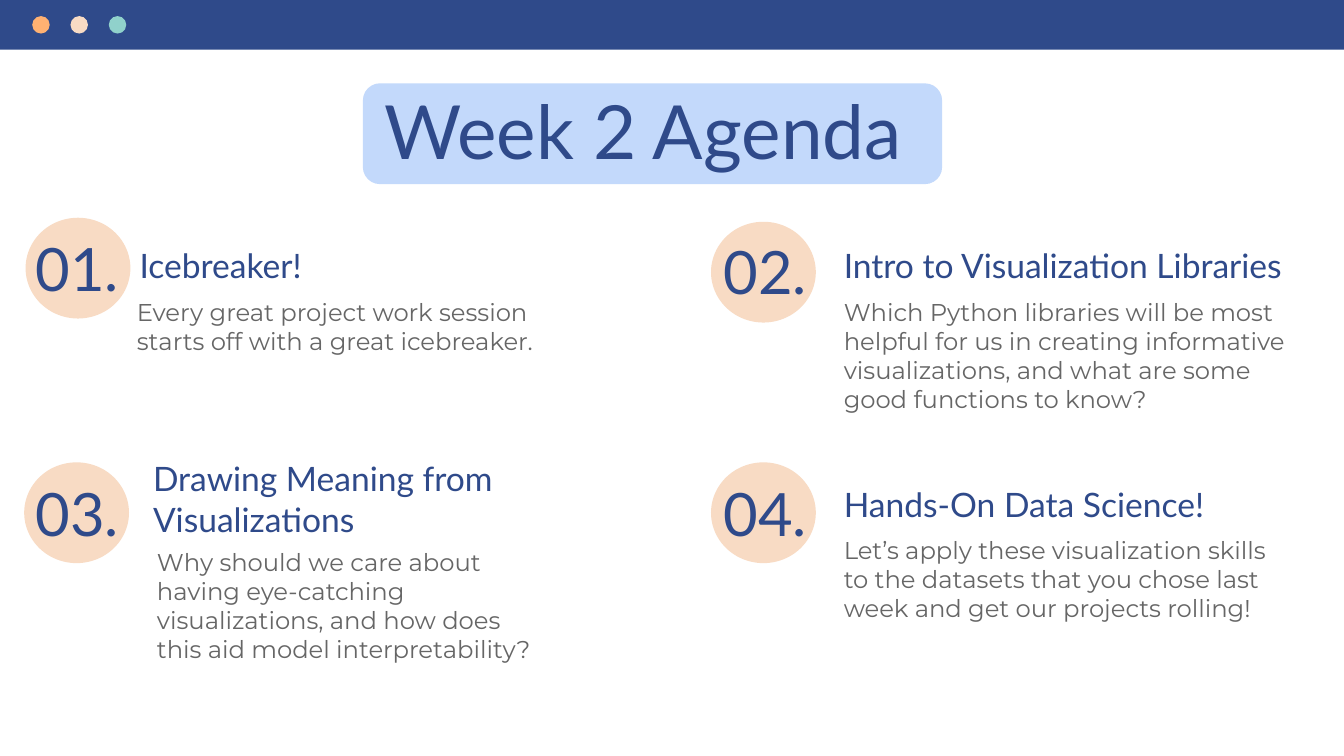
from pptx import Presentation
from pptx.dml.color import RGBColor
from pptx.enum.shapes import MSO_SHAPE
from pptx.enum.text import MSO_ANCHOR, MSO_AUTO_SIZE, PP_ALIGN
from pptx.util import Inches, Pt

COLORS = {
    "navy": "2F4A8A",
    "sky": "C3D9FB",
    "peach": "F8DBC4",
    "orange": "FFB172",
    "teal": "90D1CB",
    "gray": "666666",
}


class AgendaSlide:
    heading_font = "Lato"
    body_font = "Montserrat"

    def __init__(self, prs):
        self.slide = prs.slides.add_slide(prs.slide_layouts[5])

    def shape(self, kind, x, y, w, h, color):
        sp = self.slide.shapes.add_shape(
            kind, Inches(x), Inches(y), Inches(w), Inches(h))
        sp.shadow.inherit = False
        sp.fill.solid()
        sp.fill.fore_color.rgb = RGBColor.from_string(COLORS[color])
        sp.line.fill.background()
        return sp

    def format_text(self, sp, text, size, font, color,
                    align=PP_ALIGN.LEFT, anchor=MSO_ANCHOR.TOP):
        tf = sp.text_frame
        tf.word_wrap = True
        tf.auto_size = MSO_AUTO_SIZE.NONE
        tf.vertical_anchor = anchor
        tf.margin_left = tf.margin_right = Inches(0.1)
        tf.margin_top = tf.margin_bottom = Inches(0.1)
        p = tf.paragraphs[0]
        p.text = text
        p.alignment = align
        p.font.size = Pt(size)
        p.font.name = font
        p.font.color.rgb = RGBColor.from_string(COLORS[color])

    def title(self, text, x, y, w, h):
        sp = self.slide.shapes.title
        sp.left, sp.top = Inches(x), Inches(y)
        sp.width, sp.height = Inches(w), Inches(h)
        sp.element.getparent().append(sp.element)
        self.format_text(sp, text, 40, self.heading_font, "navy")

    def text(self, text, x, y, w, h, *style, **options):
        sp = self.slide.shapes.add_textbox(
            Inches(x), Inches(y), Inches(w), Inches(h))
        self.format_text(sp, text, *style, **options)

    def number(self, text, circle, label):
        self.shape(MSO_SHAPE.OVAL, *circle, 0.78, 0.75, "peach")
        self.text(text, *label, 0.99, 0.64, 32, self.heading_font, "navy",
                  align=PP_ALIGN.CENTER, anchor=MSO_ANCHOR.BOTTOM)

    def heading(self, text, box):
        self.text(text, *box, 18, self.heading_font, "navy")

    def body(self, text, box):
        self.text(text, *box, 13, self.body_font, "gray")

    def window_bar(self):
        self.shape(MSO_SHAPE.RECTANGLE, 0, 0, 10, 0.37, "navy")
        for i, color in enumerate(("orange", "peach", "teal")):
            self.shape(MSO_SHAPE.OVAL, 0.24 + i * 0.285, 0.12, 0.13, 0.13, color)


AGENDA = [
    ((0.19, 1.62), (0.08, 1.72),
     "Icebreaker!", (0.94, 1.72, 3.43, 0.51),
     "Every great project work session starts off with a great icebreaker.",
     (0.92, 2.11, 3.27, 0.64)),
    ((5.29, 1.65), (5.2, 1.74),
     "Intro to Visualization Libraries", (6.18, 1.72, 3.59, 0.51),
     "Which Python libraries will be most helpful for us in creating "
     "informative visualizations, and what are some good functions to know?",
     (6.18, 2.11, 3.51, 1.03)),
    ((0.18, 3.44), (0.08, 3.54),
     "Drawing Meaning from Visualizations", (1.04, 3.31, 2.92, 0.51),
     "Why should we care about having eye-catching visualizations, "
     "and how does this aid model interpretability?",
     (1.07, 3.97, 3.04, 1.06)),
    ((5.29, 3.44), (5.2, 3.54),
     "Hands-On Data Science!", (6.18, 3.5, 2.98, 0.51),
     "Let’s apply these visualization skills to the datasets that you "
     "chose last week and get our projects rolling!",
     (6.18, 3.88, 3.43, 0.85)),
]


def main():
    prs = Presentation()
    prs.slide_width = Inches(10)
    prs.slide_height = prs.slide_width * 9 // 16
    s = AgendaSlide(prs)
    s.window_bar()
    panel = s.shape(MSO_SHAPE.ROUNDED_RECTANGLE, 2.7, 0.62, 4.31, 0.75, "sky")
    panel.adjustments[0] = 0.17
    s.title("Week 2 Agenda", 2.76, 0.53, 4.25, 0.85)
    for i, (circle, label, heading, heading_box, body, body_box) in enumerate(AGENDA, 1):
        s.number(f"{i:02d}.", circle, label)
        s.heading(heading, heading_box)
        s.body(body, body_box)
    prs.save("out.pptx")


if __name__ == "__main__":
    main()
